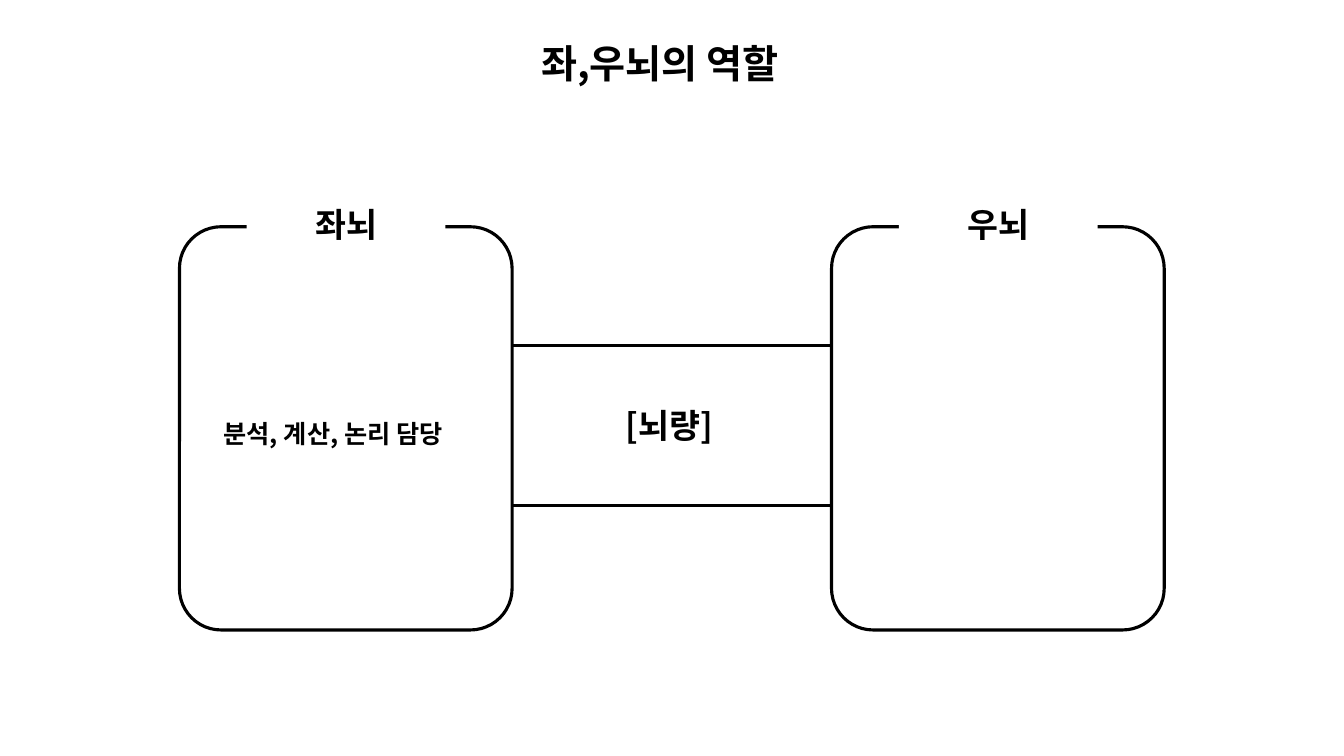
from pptx import Presentation
from pptx.dml.color import RGBColor
from pptx.enum.shapes import MSO_CONNECTOR as Link, MSO_SHAPE as Kind
from pptx.enum.text import MSO_ANCHOR as Anchor, MSO_AUTO_SIZE as Fit, PP_ALIGN as Align
from pptx.oxml.ns import qn
from pptx.util import Pt
from lxml.etree import SubElement

FACE = "Noto Sans CJK KR"
INK = "000000"
PAPER = "FFFFFF"


def color(code):
    return RGBColor.from_string(code)


def write(frame, text, size, align=Align.LEFT):
    para = frame.paragraphs[0]
    para.alignment = align
    font = para.font
    font.size, font.bold, font.name = Pt(size), True, FACE
    font.color.rgb = color(INK)
    run = para.add_run()
    run.text = text
    props = run.font._element
    SubElement(props, qn("a:ea")).set("typeface", FACE)


def label(slide, box, text, size):
    frame = slide.shapes.add_textbox(*map(Pt, box)).text_frame
    frame.word_wrap = False
    frame.auto_size = Fit.SHAPE_TO_FIT_TEXT
    write(frame, text, size)


def round_box(group, box):
    shape = group.shapes.add_shape(Kind.ROUNDED_RECTANGLE, *map(Pt, box))
    shape.shadow.inherit = False
    return shape


def half(slide, box, name):
    left, top, width, height = box
    group = slide.shapes.add_group_shape()
    body = round_box(group, box)
    body.adjustments[0] = 0.125
    body.fill.background()
    body.line.color.rgb = color(INK)
    body.line.width = Pt(2.25)
    tag = round_box(group, (left + 48, top - 23, 142, 42))
    tag.fill.solid()
    tag.fill.fore_color.rgb = color(PAPER)
    tag.line.fill.background()
    tag.text_frame.vertical_anchor = Anchor.MIDDLE
    write(tag.text_frame, name, 24, Align.CENTER)


def bridge(slide, box, text):
    left, top, width, height = box
    for y in (top, top + height):
        line = slide.shapes.add_connector(
            Link.STRAIGHT, Pt(left), Pt(y), Pt(left + width), Pt(y))
        line.line.color.rgb = color(INK)
        line.line.width = Pt(2.25)
        SubElement(line._element.spPr, qn("a:effectLst"))
    label(slide, (left + 74, top + 39, 80.6, 36.4), text, 24)


def main():
    deck = Presentation()
    deck.slide_width, deck.slide_height = Pt(960), Pt(540)
    slide = deck.slides.add_slide(deck.slide_layouts[6])
    label(slide, (379.4, 24.5, 201.6, 41.2), "좌,우뇌의 역할", 28)
    for left, name in ((128.2, "좌뇌"), (594, "우뇌")):
        half(slide, (left, 162, 237.6, 288), name)
    bridge(slide, (365.8, 247, 228.2, 114), "[뇌량]")
    label(slide, (152.6, 295.2, 188.6, 29), "분석, 계산, 논리 담당", 18)
    deck.save("out.pptx")


if __name__ == "__main__":
    main()
